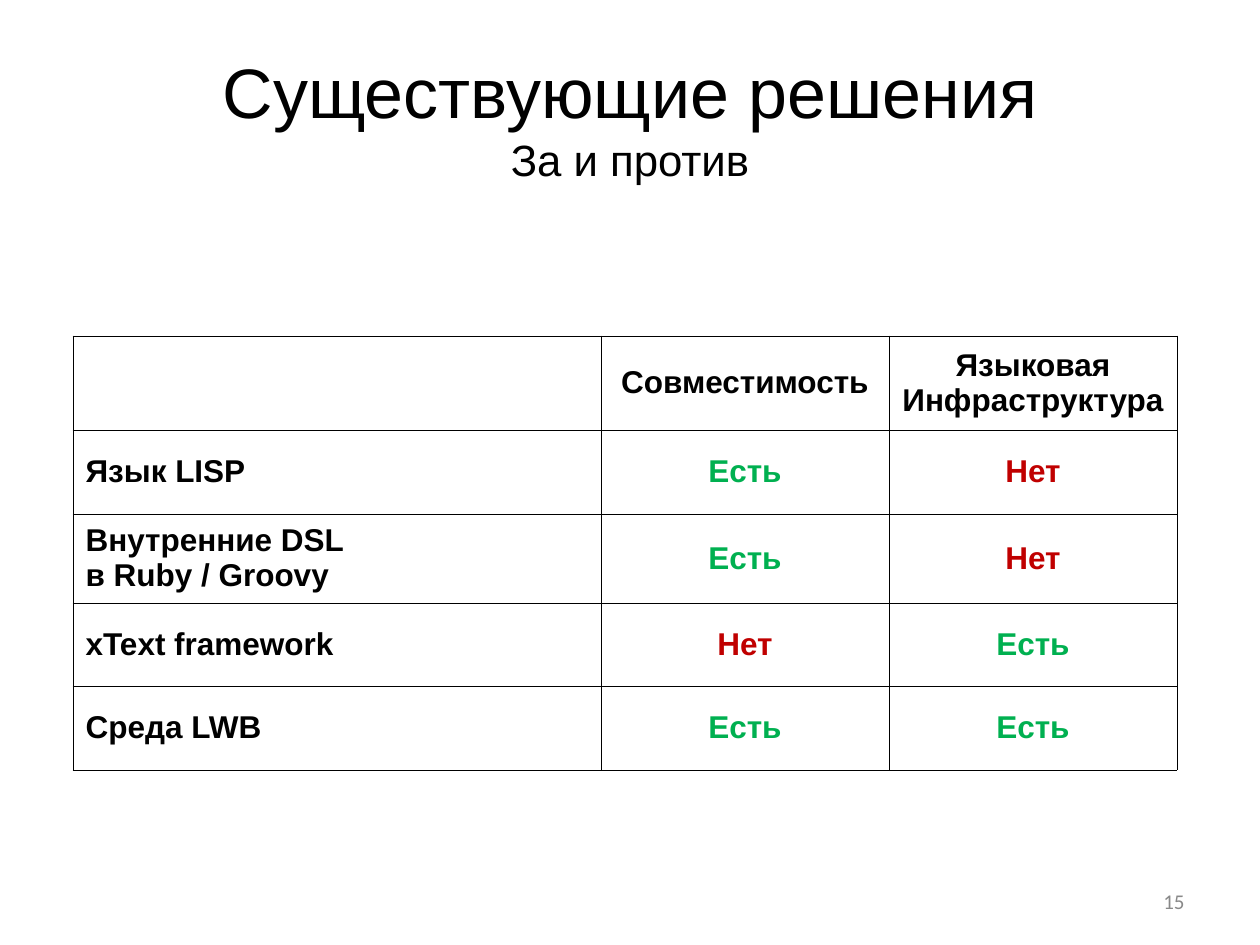
from dataclasses import dataclass

from lxml import etree
from pptx import Presentation
from pptx import util as u
from pptx.dml.color import RGBColor
from pptx.enum import text
from pptx.oxml import ns

SCALE = 914400 / 126  # EMU in one pixel


@dataclass(frozen=True)
class Theme:
    ink: str = "000000"
    yes: str = "00B050"
    no: str = "C00000"
    muted: str = "898989"
    font: str = "Arial"
    number_font: str = "Calibri"
    title: int = 40
    subtitle: int = 25
    body: int = 18
    number: int = 12
    border: float = 0.45


THEME = Theme()
ALIGN = text.PP_ALIGN
YES, NO = "Есть", "Нет"
VERDICT_COLORS = {YES: THEME.yes, NO: THEME.no}
COLUMNS = [528, 288, 288]
ROWS = [94, 84, 89, 83, 84]
SOLUTIONS = [
    ["", "Совместимость", "Языковая\nИнфраструктура"],
    ["Язык LISP", YES, NO],
    ["Внутренние DSL\vв Ruby / Groovy", YES, NO],
    ["xText framework", NO, YES],
    ["Среда LWB", YES, YES],
]


def px(value):
    return u.Emu(round(value * SCALE))


def place(shape, left, top, width, height):
    shape.left, shape.top = px(left), px(top)
    shape.width, shape.height = px(width), px(height)


def add_span(para, words, size, color=THEME.ink, font=THEME.font, bold=False):
    span = para.add_run()
    span.text = words
    span.font.size = u.Pt(size)
    span.font.name = font
    span.font.bold = bold
    span.font.color.rgb = RGBColor.from_string(color)


def add_title(page, heading, subheading):
    box = page.shapes.title
    place(box, 63, 38, 1134, 157)
    frame = box.text_frame
    frame.auto_size = text.MSO_AUTO_SIZE.NONE
    frame.vertical_anchor = text.MSO_ANCHOR.MIDDLE
    para = frame.paragraphs[0]
    para.alignment = ALIGN.CENTER
    add_span(para, heading, THEME.title)
    para.add_line_break()
    add_span(para, subheading, THEME.subtitle)


def set_borders(cell):
    properties = cell._tc.get_or_add_tcPr()
    for index, side in enumerate(("a:lnL", "a:lnR", "a:lnT", "a:lnB")):
        line = etree.Element(ns.qn(side), w=str(int(u.Pt(THEME.border))))
        fill = etree.SubElement(line, ns.qn("a:solidFill"))
        etree.SubElement(fill, ns.qn("a:srgbClr"), val=THEME.ink)
        properties.insert(index, line)


def fill_cell(cell, words, align):
    cell.fill.background()
    set_borders(cell)
    cell.vertical_anchor = text.MSO_ANCHOR.MIDDLE
    if not words:
        return
    color = VERDICT_COLORS.get(words, THEME.ink)
    frame = cell.text_frame
    for index, block in enumerate(words.split("\n")):
        para = frame.add_paragraph() if index else frame.paragraphs[0]
        para.alignment = align
        for number, line in enumerate(block.split("\v")):
            if number:
                para.add_line_break()
            add_span(para, line, THEME.body, color, bold=True)


def add_comparison(page, left, top):
    frame = page.shapes.add_table(len(ROWS), len(COLUMNS), px(left), px(top),
                                  px(sum(COLUMNS)), px(sum(ROWS)))
    table = frame.table
    table.horz_banding = False
    table.first_row = False
    for column, width in zip(table.columns, COLUMNS):
        column.width = px(width)
    for row, height, entries in zip(table.rows, ROWS, SOLUTIONS):
        row.height = px(height)
        for index, (cell, words) in enumerate(zip(row.cells, entries)):
            fill_cell(cell, words, ALIGN.CENTER if index else ALIGN.LEFT)


def add_page_number(page, number):
    box = page.shapes.add_textbox(px(903), px(876), px(294), px(50))
    frame = box.text_frame
    frame.word_wrap = True
    frame.vertical_anchor = text.MSO_ANCHOR.MIDDLE
    para = frame.paragraphs[0]
    para.alignment = ALIGN.RIGHT
    add_span(para, number, THEME.number, THEME.muted, THEME.number_font)


def main():
    deck = Presentation()
    deck.slide_width, deck.slide_height = px(1260), px(945)
    page = deck.slides.add_slide(deck.slide_layouts.get_by_name("Title Only"))

    # Heading
    add_title(page, "Существующие решения", "За и против")
    # Comparison of solutions
    add_comparison(page, 73, 336)
    # Footer
    add_page_number(page, "15")

    deck.save("out.pptx")


main()
